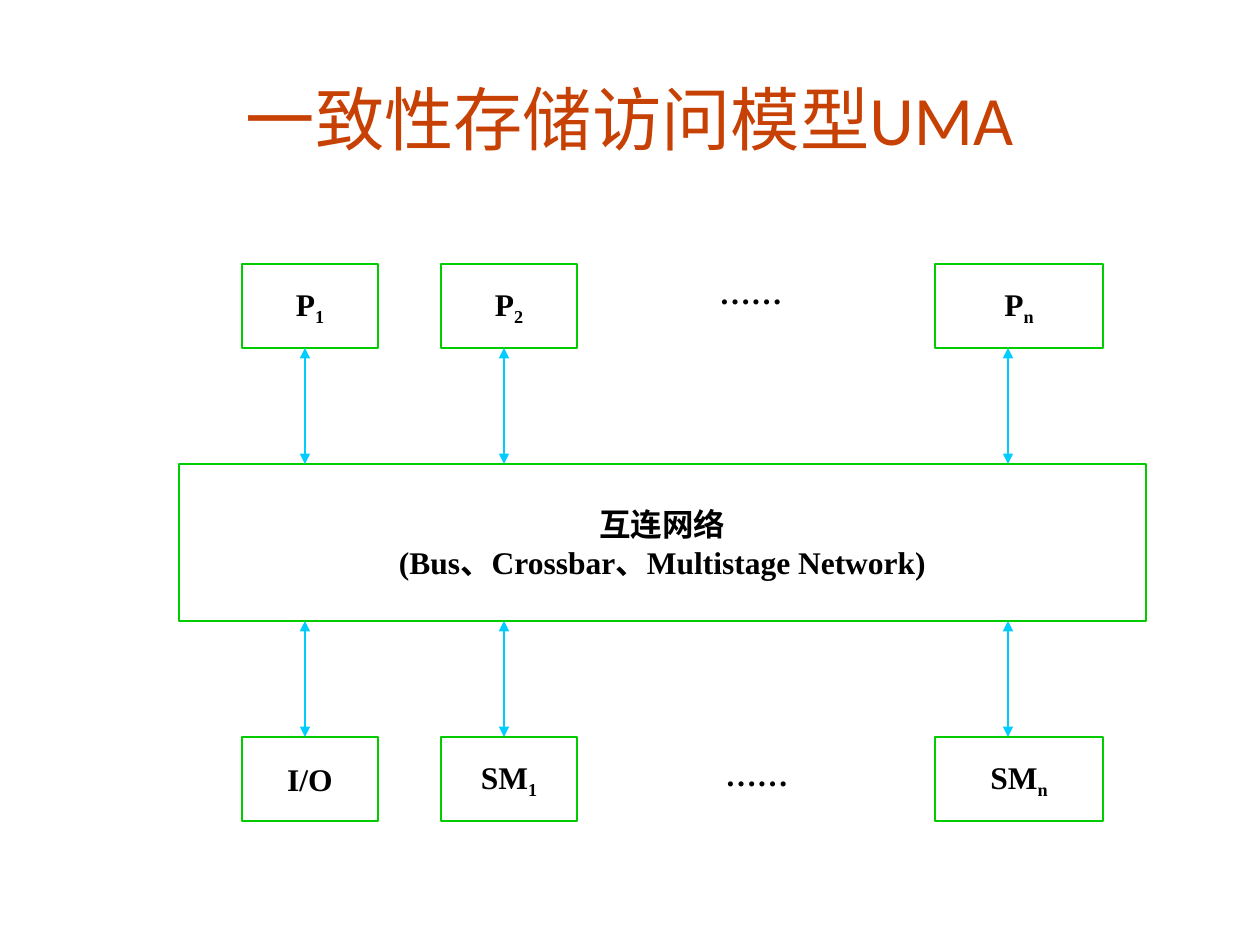
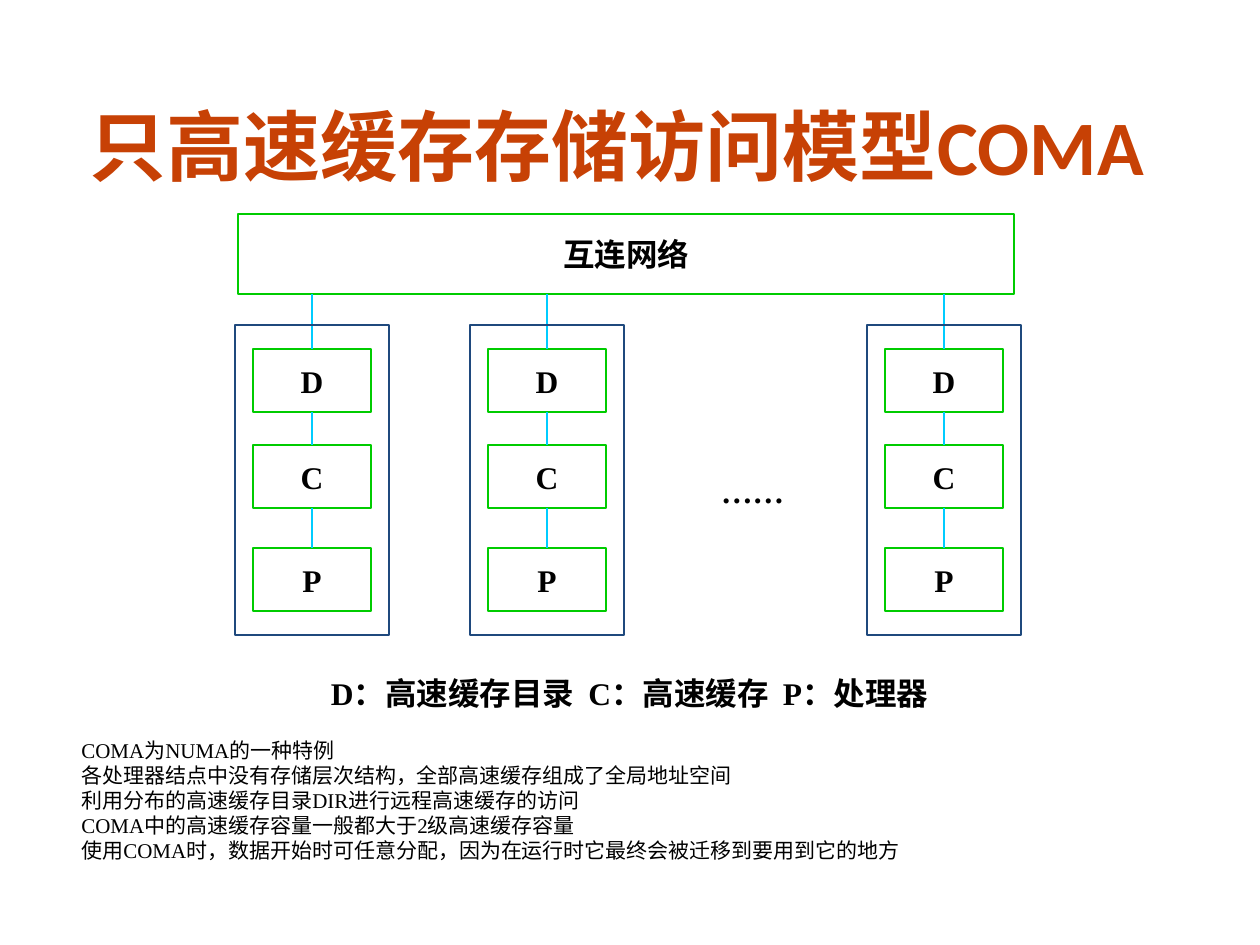
from lxml.etree import SubElement
from pptx import Presentation
from pptx.dml.color import RGBColor
from pptx.enum.shapes import MSO_CONNECTOR, MSO_SHAPE
from pptx.enum.text import MSO_ANCHOR, MSO_AUTO_SIZE, PP_ALIGN
from pptx.oxml.ns import qn
from pptx.util import Pt

# Shared style
PX = 914400 / 126
COLORS = {"title": "C74105", "text": "000000", "box": "00CC00",
          "link": "00CCFF", "node": "1F497D"}
TITLE_FONT, BODY_FONT = "Calibri", "Times New Roman"
LABEL_SIZE, NOTE_SIZE = 18, 12
TOP, BOTTOM = 0, 2  # connection sites
DOTS = "……"

# UMA content: a label is a list of lines, a line is a list of (text, is subscript)
UMA_TITLE = ("一致性存储访问模型UMA", 39.6, False, (29, 69, 1201, 98))
UMA_NETWORK = [[("互连网络", False)],
               [("(Bus、Crossbar、Multistage Network)", False)]]
UMA_NETWORK_AT = (179, 464, 967, 157)
UMA_COLUMNS = [  # left, width, link x, upper label, lower label
    (242, 136, 305, [("P", False), ("1", True)], [("I/O", False)]),
    (441, 136, 504, [("P", False), ("2", True)], [("SM", False), ("1", True)]),
    (935, 168, 1008, [("P", False), ("n", True)], [("SM", False), ("n", True)]),
]
UMA_BOX_HEIGHT, UMA_LINK_LENGTH = 84, 116
UMA_DOTS_AT = [(683, 265, 136, 53), (689, 747, 136, 53)]

# COMA content
COMA_TITLE = ("只高速缓存存储访问模型COMA", 44, True, (34, 87, 1166, 116))
COMA_NETWORK = [[("互连网络", False)]]
COMA_NETWORK_AT = (238, 214, 776, 80)
COMA_CENTERS = [312, 547, 944]
COMA_PARTS = [("D", 349), ("C", 445), ("P", 548)]  # label, top
COMA_PART_SIZE = (118, 63)
COMA_NODE_TOP, COMA_NODE_SIZE = 325, (154, 310)
COMA_DOTS_AT = (694, 471, 117, 39)
COMA_LEGEND = "D：高速缓存目录  C：高速缓存  P：处理器"
COMA_LEGEND_AT = (203, 668, 853, 63)
COMA_NOTES = [
    "COMA为NUMA的一种特例",
    "各处理器结点中没有存储层次结构，全部高速缓存组成了全局地址空间",
    "利用分布的高速缓存目录DIR进行远程高速缓存的访问",
    "COMA中的高速缓存容量一般都大于2级高速缓存容量",
    "使用COMA时，数据开始时可任意分配，因为在运行时它最终会被迁移到要用到它的地方",
]
COMA_NOTES_AT = (69, 731, 1121, 139)


def emu(*lengths):
    return [round(length * PX) for length in lengths]


def color(name):
    return RGBColor.from_string(COLORS[name])


def write(frame, lines, size, font=BODY_FONT, bold=True, ink="text",
          align=PP_ALIGN.CENTER, anchor=MSO_ANCHOR.MIDDLE, wrap=False):
    frame.auto_size = MSO_AUTO_SIZE.NONE
    frame.word_wrap = wrap
    frame.vertical_anchor = anchor
    for index, line in enumerate(lines):
        paragraph = frame.add_paragraph() if index else frame.paragraphs[0]
        paragraph.alignment = align
        for text, subscript in line:
            run = paragraph.add_run()
            run.text = text
            run.font.name = font
            run.font.size = Pt(size)
            run.font.bold = bold
            run.font.color.rgb = color(ink)
            if subscript:
                run._r.get_or_add_rPr().set("baseline", "-25000")


def add_titled_slide(presentation, title):
    text, size, bold, place = title
    slide = presentation.slides.add_slide(presentation.slide_layouts[5])
    shape = slide.shapes.title
    shape.left, shape.top, shape.width, shape.height = emu(*place)
    write(shape.text_frame, [[(text, False)]], size, TITLE_FONT, bold, "title", wrap=True)
    return slide


def add_box(slide, place, lines=(), line_color="box", line_width=1.5):
    shape = slide.shapes.add_shape(MSO_SHAPE.RECTANGLE, *emu(*place))
    shape.shadow.inherit = False
    shape.fill.background()
    shape.line.color.rgb = color(line_color)
    shape.line.width = Pt(line_width)
    write(shape.text_frame, lines, LABEL_SIZE)
    return shape


def add_text(slide, place, texts, size=LABEL_SIZE, **style):
    shape = slide.shapes.add_textbox(*emu(*place))
    write(shape.text_frame, [[(text, False)] for text in texts], size, **style)


def add_link(slide, x, top, bottom, arrows=False):
    link = slide.shapes.add_connector(MSO_CONNECTOR.STRAIGHT, *emu(x, top, x, bottom))
    link.line.color.rgb = color("link")
    link.line.width = Pt(1.5)
    if arrows:
        outline = link.line._get_or_add_ln()
        for end in ("a:headEnd", "a:tailEnd"):
            SubElement(outline, qn(end), type="triangle")
    SubElement(link._element.spPr, qn("a:effectLst"))
    return link


def build_uma(presentation):
    slide = add_titled_slide(presentation, UMA_TITLE)
    network_top = UMA_NETWORK_AT[1]
    network_bottom = network_top + UMA_NETWORK_AT[3]
    upper_bottom = network_top - UMA_LINK_LENGTH
    lower_top = network_bottom + UMA_LINK_LENGTH
    add_box(slide, UMA_NETWORK_AT, UMA_NETWORK)

    # Processors above the network, I/O and memories below it
    for left, width, link_x, upper, lower in UMA_COLUMNS:
        add_box(slide, (left, upper_bottom - UMA_BOX_HEIGHT, width, UMA_BOX_HEIGHT), [upper])
        add_box(slide, (left, lower_top, width, UMA_BOX_HEIGHT), [lower])
        add_link(slide, link_x, upper_bottom, network_top, arrows=True)
        add_link(slide, link_x, network_bottom, lower_top, arrows=True)
    for place in UMA_DOTS_AT:
        add_text(slide, place, [DOTS])


def build_coma(presentation):
    slide = add_titled_slide(presentation, COMA_TITLE)
    add_box(slide, COMA_NETWORK_AT, COMA_NETWORK)
    part_width, part_height = COMA_PART_SIZE
    node_width, node_height = COMA_NODE_SIZE

    # Each node chains directory, cache and processor under the network
    for center in COMA_CENTERS:
        above, above_bottom = None, COMA_NETWORK_AT[1] + COMA_NETWORK_AT[3]
        for label, top in COMA_PARTS:
            place = (center - part_width // 2, top, part_width, part_height)
            part = add_box(slide, place, [[(label, False)]])
            link = add_link(slide, center, above_bottom, top)
            if above is not None:
                link.begin_connect(above, BOTTOM)
            link.end_connect(part, TOP)
            above, above_bottom = part, top + part_height
        add_box(slide, (center - node_width // 2, COMA_NODE_TOP, node_width, node_height),
                line_color="node", line_width=1)
    add_text(slide, COMA_DOTS_AT, [DOTS])

    # Legend and notes
    add_text(slide, COMA_LEGEND_AT, [COMA_LEGEND], anchor=MSO_ANCHOR.TOP, wrap=True)
    add_text(slide, COMA_NOTES_AT, COMA_NOTES, NOTE_SIZE, bold=False,
             align=PP_ALIGN.JUSTIFY, anchor=MSO_ANCHOR.TOP, wrap=True)


def main():
    presentation = Presentation()
    presentation.slide_width, presentation.slide_height = emu(1260, 945)
    build_uma(presentation)
    build_coma(presentation)
    presentation.save("out.pptx")


if __name__ == "__main__":
    main()
